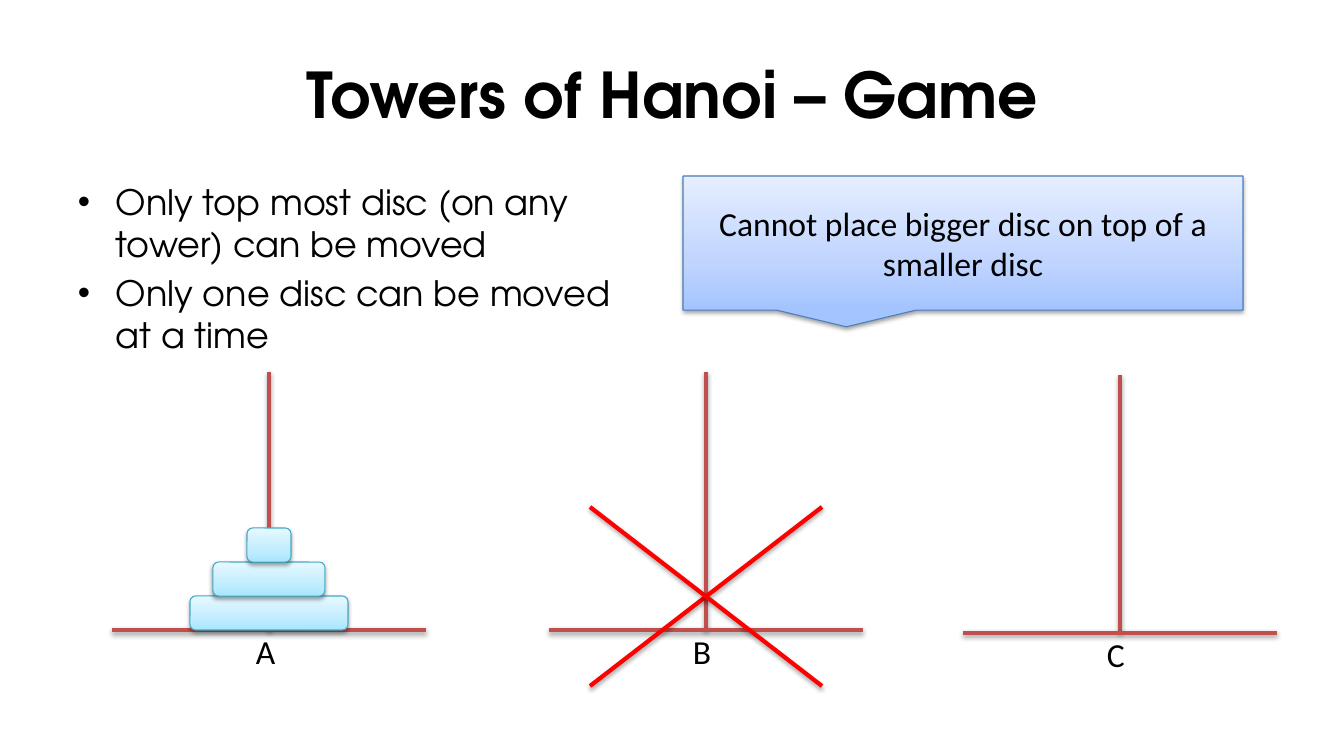
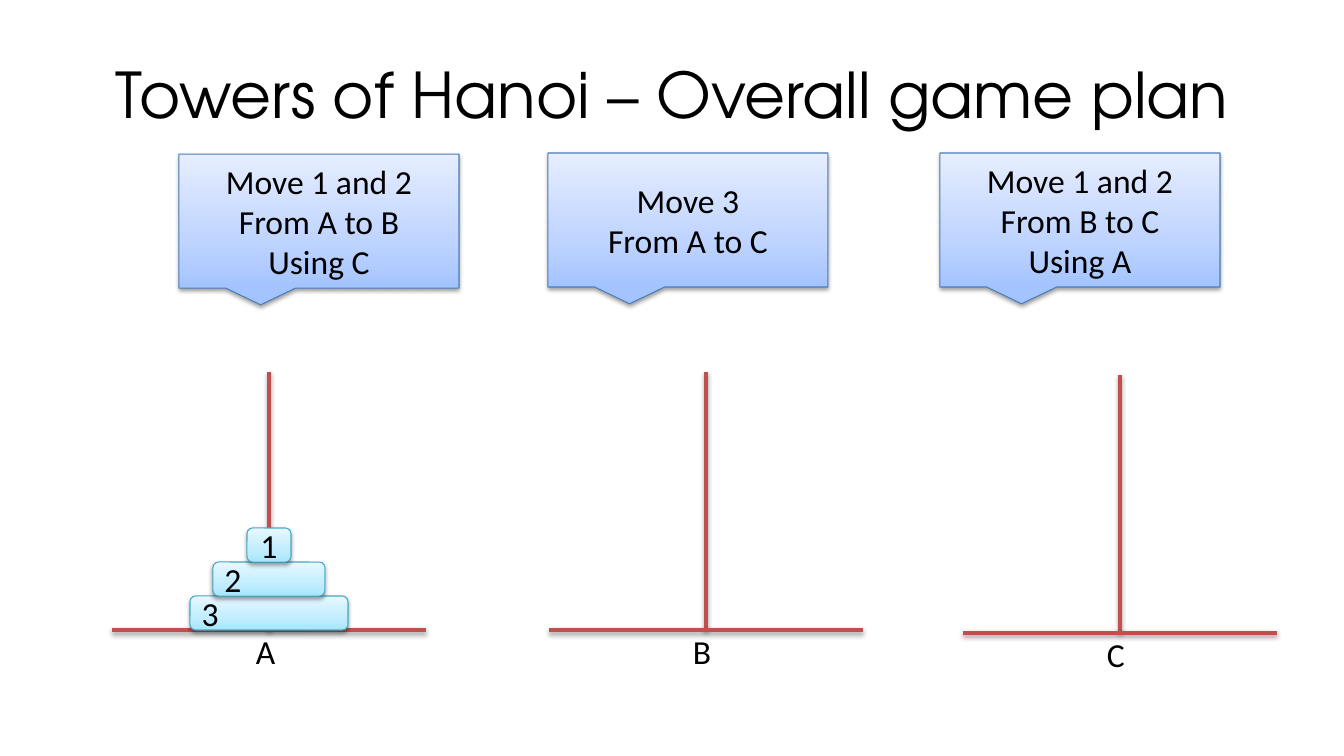
from copy import deepcopy

from lxml.etree import SubElement
from pptx import Presentation
from pptx.dml.color import RGBColor
from pptx.enum.shapes import MSO_CONNECTOR, MSO_SHAPE
from pptx.enum.text import MSO_ANCHOR, MSO_AUTO_SIZE, PP_ALIGN
from pptx.oxml.ns import qn
from pptx.util import Emu, Pt

EMU_PER_PX = 12192000 / 1344
PAGE_WIDTH, PAGE_HEIGHT = 1344, 756
HEADING_FONT, PLAIN_FONT = "TeX Gyre Adventor", "Calibri"
COLORS = {
    "text": "000000",
    "tower": "C0504D",
    "cross": "FF0000",
    "disc_line": "46AAC5",
    "callout_line": "4B7EBC",
    "shadow": "000000",
}
GRADIENTS = {
    "disc": ("A7E6FF", "C1EDFF", "E7F8FF"),
    "callout": ("A4C4FF", "BFD4FF", "E6EEFF"),
}
STOP_POSITIONS = (0, 0.35, 1)
TOWERS = (("A", 112, 372), ("B", 549, 372), ("C", 963, 375))
TOWER_WIDTH, TOWER_HEIGHT = 314, 258
DISC_WIDTHS, DISC_HEIGHT = (158, 112, 44), 34
CALLOUT_HEIGHT = 134


def px(*lengths):
    return [Emu(round(length * EMU_PER_PX)) for length in lengths]


def color(name):
    return RGBColor.from_string(COLORS[name])


def write(frame, lines, font=PLAIN_FONT, size=24, align=PP_ALIGN.CENTER,
          bold=False, bullet=None, gap=0):
    frame.word_wrap = True
    for index, line in enumerate(lines):
        para = frame.add_paragraph() if index else frame.paragraphs[0]
        para.alignment = align
        if index and gap:
            para.space_before = Pt(gap)
        if bullet:
            add_bullet(para, bullet)
        span = para.add_run()
        span.text = line
        span.font.name = font
        span.font.size = Pt(size)
        span.font.bold = bold
        span.font.color.rgb = color("text")


def add_bullet(para, symbol):
    properties = para._p.get_or_add_pPr()
    indent = px(38)[0]
    properties.set("marL", str(indent))
    properties.set("indent", str(-indent))
    SubElement(properties, qn("a:buFont"), typeface="Arial")
    SubElement(properties, qn("a:buChar"), char=symbol)


def add_shadow(item, distance, opacity):
    effects = SubElement(item._element.spPr, qn("a:effectLst"))
    shadow = SubElement(effects, qn("a:outerShdw"), blurRad="40000",
                        dist=str(distance), dir="5400000", rotWithShape="0")
    tone = SubElement(shadow, qn("a:srgbClr"), val=COLORS["shadow"])
    SubElement(tone, qn("a:alpha"), val=str(opacity * 1000))


def add_line(shapes, start, end, color_name):
    line = shapes.add_connector(MSO_CONNECTOR.STRAIGHT, *px(*start, *end))
    line.line.color.rgb = color(color_name)
    line.line.width = Pt(3)
    add_shadow(line, 23000, 35)


def add_glossy_shape(shapes, kind, box, style):
    shape = shapes.add_shape(kind, *px(*box))
    shape.fill.gradient()
    shape.fill.gradient_angle = 90
    stop_list = shape._element.spPr.find(".//" + qn("a:gsLst"))
    stop_list.append(deepcopy(stop_list[-1]))
    for stop, position, tone in zip(shape.fill.gradient_stops, STOP_POSITIONS, GRADIENTS[style]):
        stop.position = position
        stop.color.rgb = RGBColor.from_string(tone)
    shape.line.color.rgb = color(style + "_line")
    shape.line.width = Pt(0.75)
    add_shadow(shape, 20000, 38)
    shape.text_frame.vertical_anchor = MSO_ANCHOR.MIDDLE
    return shape


def add_page(deck, title, bold=False):
    page = deck.slides.add_slide(deck.slide_layouts[5])
    box = page.shapes.title
    box.left, box.top, box.width, box.height = px(67, 30, 1210, 126)
    box.text_frame.auto_size = MSO_AUTO_SIZE.NONE
    box.text_frame.vertical_anchor = MSO_ANCHOR.MIDDLE
    write(box.text_frame, [title], HEADING_FONT, 45, bold=bold)
    return page


def add_tower(page, name, left, top):
    shapes = page.shapes.add_group_shape().shapes
    middle, floor = left + TOWER_WIDTH // 2, top + TOWER_HEIGHT
    add_line(shapes, (middle, top), (middle, floor), "tower")
    add_line(shapes, (left, floor), (left + TOWER_WIDTH, floor), "tower")
    label = shapes.add_textbox(*px(middle - 23, floor - 4, 145, 50))
    write(label.text_frame, [name], align=PP_ALIGN.LEFT)


def add_discs(page, left, top, names=()):
    middle, floor = left + TOWER_WIDTH // 2, top + TOWER_HEIGHT
    for level, width in enumerate(DISC_WIDTHS):
        box = (middle - width // 2, floor - DISC_HEIGHT * (level + 1), width, DISC_HEIGHT)
        disc = add_glossy_shape(page.shapes, MSO_SHAPE.ROUNDED_RECTANGLE, box, "disc")
        if names:
            is_top = level == len(DISC_WIDTHS) - 1
            write(disc.text_frame, [names[level]],
                  align=PP_ALIGN.CENTER if is_top else PP_ALIGN.LEFT)


def add_board(page, disc_names=()):
    for name, left, top in TOWERS:
        add_tower(page, name, left, top)
    add_discs(page, *TOWERS[0][1:], disc_names)


def add_callout(page, left, top, width, lines):
    box = (left, top, width, CALLOUT_HEIGHT)
    callout = add_glossy_shape(page.shapes, MSO_SHAPE.RECTANGULAR_CALLOUT, box, "callout")
    write(callout.text_frame, lines)


def add_cross(page, left, top, width, height):
    shapes = page.shapes.add_group_shape().shapes
    right, bottom = left + width, top + height
    add_line(shapes, (right, top), (left, bottom), "cross")
    add_line(shapes, (left, top), (right, bottom), "cross")


def add_rules(page, left, top, width, height, rules):
    box = page.shapes.add_textbox(*px(left, top, width, height))
    write(box.text_frame, rules, HEADING_FONT, 25, PP_ALIGN.LEFT, bullet="•", gap=5)


def build_game_page(deck):
    page = add_page(deck, "Towers of Hanoi – Game", bold=True)
    add_rules(page, 68, 176, 594, 499, [
        "Only top most disc (on any tower) can be moved",
        "Only one disc can be moved at a time",
    ])
    add_board(page)
    add_cross(page, 590, 507, 232, 179)
    add_callout(page, 683, 176, 560, ["Cannot place bigger disc on top of a smaller disc"])


def build_plan_page(deck):
    page = add_page(deck, "Towers of Hanoi – Overall game plan")
    add_board(page, ("3", "2", "1"))
    steps = (
        (179, 154, ["Move 1 and 2", "From A to B", "Using C"]),
        (548, 153, ["Move 3", "From A to C"]),
        (940, 153, ["Move 1 and 2", "From B to C", "Using A"]),
    )
    for left, top, lines in steps:
        add_callout(page, left, top, 280, lines)


def main():
    deck = Presentation()
    deck.slide_width, deck.slide_height = px(PAGE_WIDTH, PAGE_HEIGHT)
    build_game_page(deck)
    build_plan_page(deck)
    deck.save("out.pptx")


if __name__ == "__main__":
    main()
